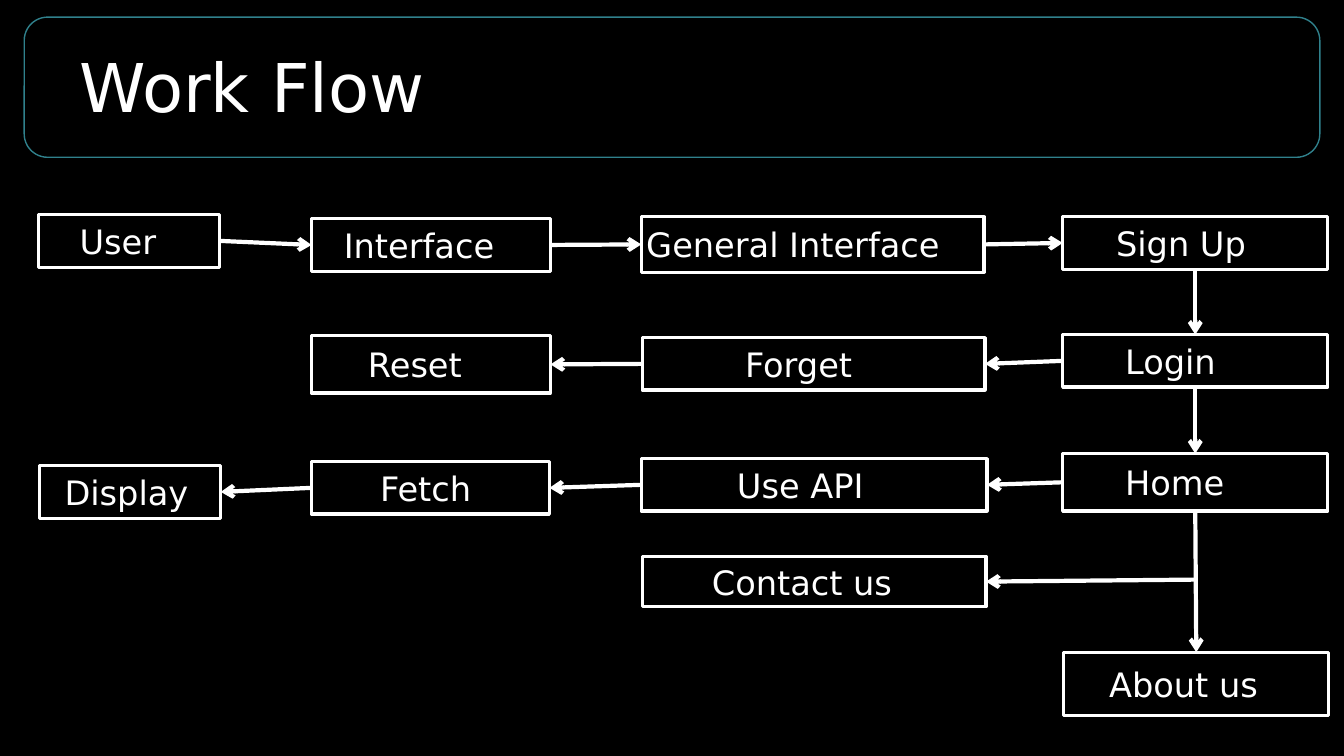
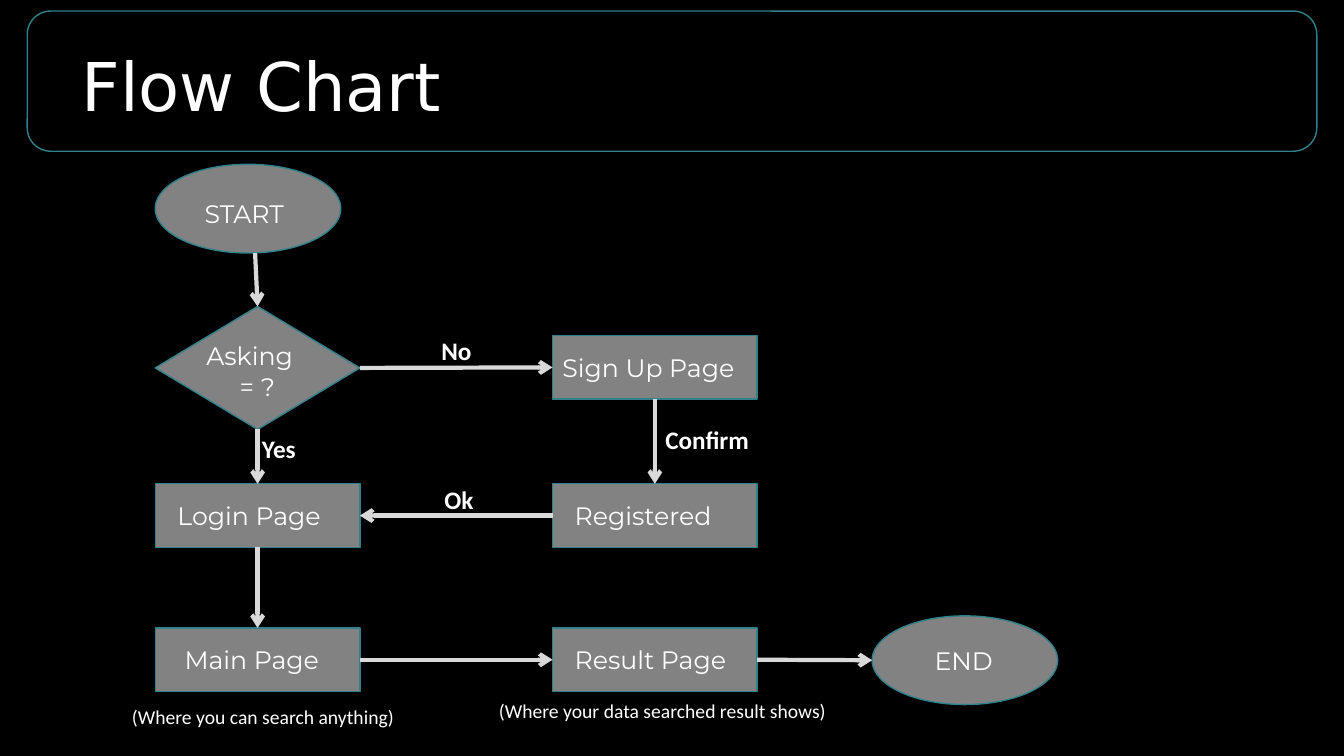
from lxml import etree
from pptx import Presentation
from pptx.dml.color import RGBColor
from pptx.enum import shapes, text
from pptx.oxml import ns
from pptx.util import Inches, Pt

COLORS = {"back": "000000", "ink": "FFFFFF", "teal": "30818C", "gray": "D9D9D9"}
KINDS = shapes.MSO_SHAPE
TOP, LEFT, BOTTOM, RIGHT = range(4)


def color(name):
    return RGBColor.from_string(COLORS[name])


def add_child(parent, tag, **attributes):
    return etree.SubElement(parent, ns.qn(tag), **attributes)


def write(frame, words, size=18, font="Montserrat", bold=False,
          anchor=text.MSO_ANCHOR.TOP, insets=(0.1, 0.05, 0.1, 0.05), second_indent=0):
    """Fill a text frame; insets run left, top, right, bottom in inches."""
    frame.word_wrap = True
    frame.auto_size = text.MSO_AUTO_SIZE.NONE
    frame.vertical_anchor = anchor
    (frame.margin_left, frame.margin_top,
     frame.margin_right, frame.margin_bottom) = map(Inches, insets)
    for index, line in enumerate(words.split("\n")):
        para = frame.paragraphs[0] if index == 0 else frame.add_paragraph()
        para.alignment = text.PP_ALIGN.LEFT
        if index and second_indent:
            para._p.get_or_add_pPr().set("marL", str(Inches(second_indent)))
        span = para.add_run()
        span.text = line
        span.font.size, span.font.name, span.font.bold = Pt(size), font, bold
        span.font.color.rgb = color("ink")


def add_outline(page, kind, place, line, width):
    """Add an unfilled preset shape with a coloured outline."""
    shape = page.shapes.add_shape(kind, *map(Inches, place))
    shape.shadow.inherit = False
    shape.fill.background()
    shape.line.color.rgb = color(line)
    shape.line.width = Pt(width)
    return shape


def add_page(deck, title, title_place, band_place):
    """Add a slide with the shared title style and rounded band."""
    page = deck.slides.add_slide(deck.slide_layouts[5])
    add_outline(page, KINDS.ROUNDED_RECTANGLE, band_place, "teal", 1)
    box = page.shapes.title
    box.left, box.top, box.width, box.height = map(Inches, title_place)
    write(box.text_frame, title, size=48, font="DejaVu Sans")
    return page


def add_step(page, words, place, indent):
    """Add a white outlined work flow box."""
    box = add_outline(page, KINDS.RECTANGLE, place, "ink", 2.25)
    write(box.text_frame, words, size=24, font="DejaVu Sans",
          anchor=text.MSO_ANCHOR.MIDDLE, insets=(indent, 0, 0, 0))
    return box


def add_node(page, kind, words, place, indent, drop=0):
    """Add a translucent flow chart symbol."""
    node = add_outline(page, kind, place, "teal", 1)
    node.fill.solid()
    node.fill.fore_color.rgb = color("gray")
    tint = node._element.spPr.find(ns.qn("a:solidFill"))[0]
    add_child(tint, "a:alpha", val="60000")
    write(node.text_frame, words, anchor=text.MSO_ANCHOR.MIDDLE,
          insets=(indent, drop, 0, 0), second_indent=0.33)
    return node


def add_label(page, words, place, size=18, bold=True):
    box = page.shapes.add_textbox(*map(Inches, place))
    write(box.text_frame, words, size=size, font="Calibri", bold=bold)


def add_arrow(page, start, end, line):
    """Join two ends; each is (shape, side) or a point in inches."""
    arrow = page.shapes.add_connector(shapes.MSO_CONNECTOR.STRAIGHT, 0, 0, 0, 0)
    if isinstance(start[0], (int, float)):
        arrow.begin_x, arrow.begin_y = map(Inches, start)
    else:
        arrow.begin_connect(*start)
    if isinstance(end[0], (int, float)):
        arrow.end_x, arrow.end_y = map(Inches, end)
    else:
        arrow.end_connect(*end)
    arrow.line.color.rgb = color(line)
    arrow.line.width = Pt(3)
    add_child(arrow.line._get_or_add_ln(), "a:tailEnd", type="arrow")
    add_child(arrow._element.spPr, "a:effectLst")


def build_work_flow(deck):
    page = add_page(deck, "Work Flow", (0.69, 0.4, 8.68, 0.91), (0.24, 0.17, 12.85, 1.39))
    # Boxes: place, then text indent
    steps = {
        "User": ((0.38, 2.13, 1.8, 0.52), 0.41),
        "Interface": ((3.09, 2.17, 2.37, 0.52), 0.32),
        "General Interface": ((6.36, 2.15, 3.4, 0.55), 0.05),
        "Sign Up": ((10.54, 2.15, 2.63, 0.52), 0.53),
        "Login": ((10.54, 3.32, 2.63, 0.52), 0.62),
        "Forget": ((6.37, 3.35, 3.4, 0.52), 1.02),
        "Reset": ((3.09, 3.33, 2.37, 0.57), 0.56),
        "Home": ((10.54, 4.5, 2.63, 0.57), 0.62),
        "Use API": ((6.36, 4.55, 3.43, 0.52), 0.95),
        "Fetch": ((3.09, 4.58, 2.36, 0.52), 0.68),
        "Display": ((0.39, 4.62, 1.8, 0.52), 0.25),
        "Contact us": ((6.37, 5.52, 3.41, 0.5), 0.69),
        "About us": ((10.55, 6.47, 2.63, 0.63), 0.45),
    }
    boxes = {name: add_step(page, name, *form) for name, form in steps.items()}

    # Chains of arrows: leaving side, entering side, boxes in order
    chains = [
        (RIGHT, LEFT, ["User", "Interface", "General Interface", "Sign Up"]),
        (BOTTOM, TOP, ["Sign Up", "Login", "Home", "About us"]),
        (LEFT, RIGHT, ["Login", "Forget", "Reset"]),
        (LEFT, RIGHT, ["Home", "Use API", "Fetch", "Display"]),
    ]
    for leave, enter, names in chains:
        for first, second in zip(names, names[1:]):
            add_arrow(page, (boxes[first], leave), (boxes[second], enter), "ink")
    add_arrow(page, (11.86, 5.75), (boxes["Contact us"], RIGHT), "ink")


def build_flow_chart(deck):
    page = add_page(deck, "Flow Chart", (0.71, 0.39, 8.68, 0.91), (0.27, 0.11, 12.79, 1.39))
    left, middle = 1.54, 5.48
    # Symbols
    add_node(page, KINDS.OVAL, "START", (left, 1.63, 1.84, 0.88), 0.22, 0.1)
    add_node(page, KINDS.OVAL, "END", (8.65, 6.11, 1.84, 0.88), 0.35)
    asking = add_node(page, KINDS.FLOWCHART_DECISION, "Asking\n= ?",
                      (left, 3.04, 2.03, 1.22), 0, 0.06)
    pages = [
        ("Sign Up Page", middle, 3.33, 0.1),
        ("Login Page", left, 4.8, 0.22),
        ("Registered", middle, 4.8, 0.22),
        ("Main Page", left, 6.23, 0.29),
        ("Result Page", middle, 6.23, 0.22),
    ]
    sign_up, login, registered, main_page, result = [
        add_node(page, KINDS.FLOWCHART_PROCESS, words, (x, y, 2.03, 0.63), indent)
        for words, x, y, indent in pages]

    # Arrows
    for start, end in [
        ((2.53, 2.51), (asking, TOP)),
        ((asking, BOTTOM), (login, TOP)),
        ((login, BOTTOM), (main_page, TOP)),
        ((asking, RIGHT), (sign_up, LEFT)),
        ((sign_up, BOTTOM), (registered, TOP)),
        ((registered, LEFT), (login, RIGHT)),
        ((main_page, RIGHT), (result, LEFT)),
        ((result, RIGHT), (8.65, 6.55)),
    ]:
        add_arrow(page, start, end, "gray")

    # Arrow labels and captions
    add_label(page, "No", (4.28, 3.28, 0.9, 0.4))
    add_label(page, "Yes", (2.5, 4.25, 0.97, 0.4))
    add_label(page, "Confirm", (6.5, 4.16, 1.66, 0.4))
    add_label(page, "Ok", (4.31, 4.76, 0.63, 0.4))
    add_label(page, "(Where you can search anything)", (1.21, 6.94, 3.84, 0.34),
              size=14, bold=False)
    add_label(page, "(Where your data searched result shows)", (4.85, 6.88, 4.55, 0.34),
              size=14, bold=False)


def main():
    deck = Presentation()
    deck.slide_width, deck.slide_height = Inches(13.33), Inches(7.5)
    backdrop = deck.slide_master.background.fill
    backdrop.solid()
    backdrop.fore_color.rgb = color("back")
    build_work_flow(deck)
    build_flow_chart(deck)
    deck.save("out.pptx")


if __name__ == "__main__":
    main()
